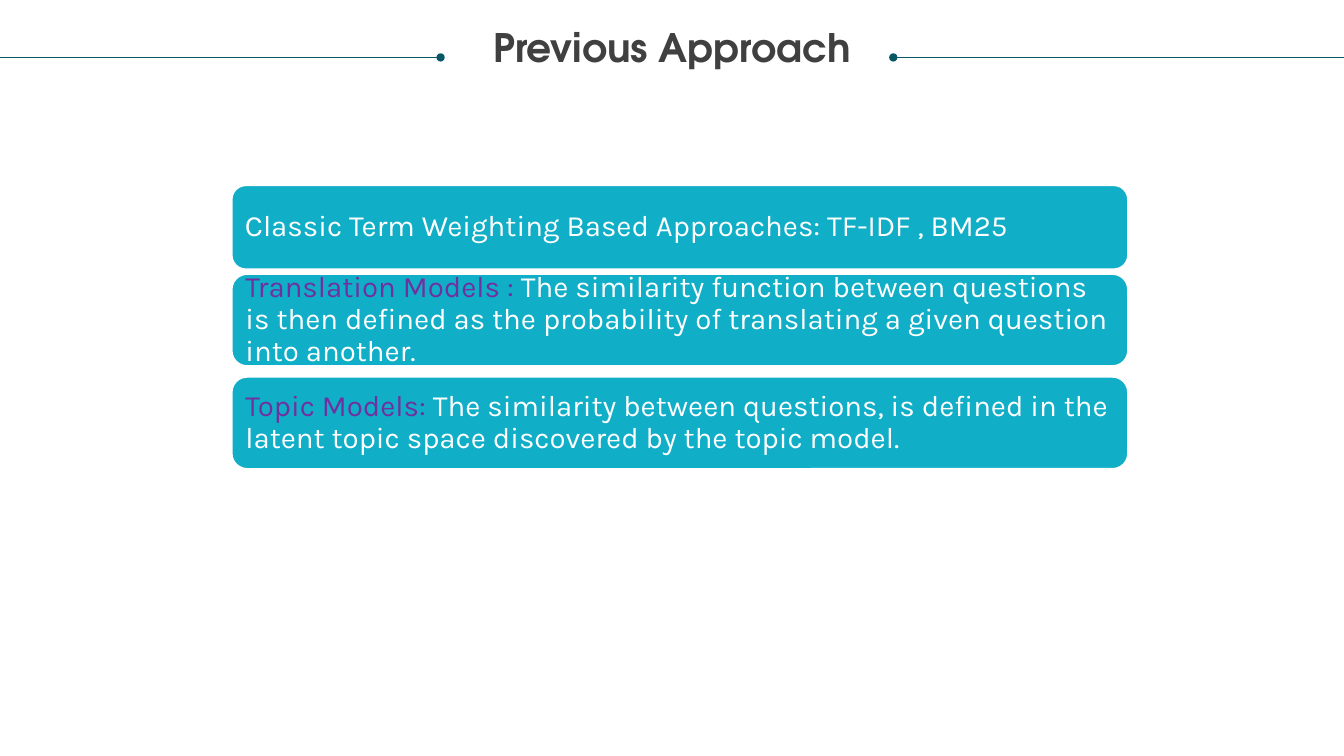
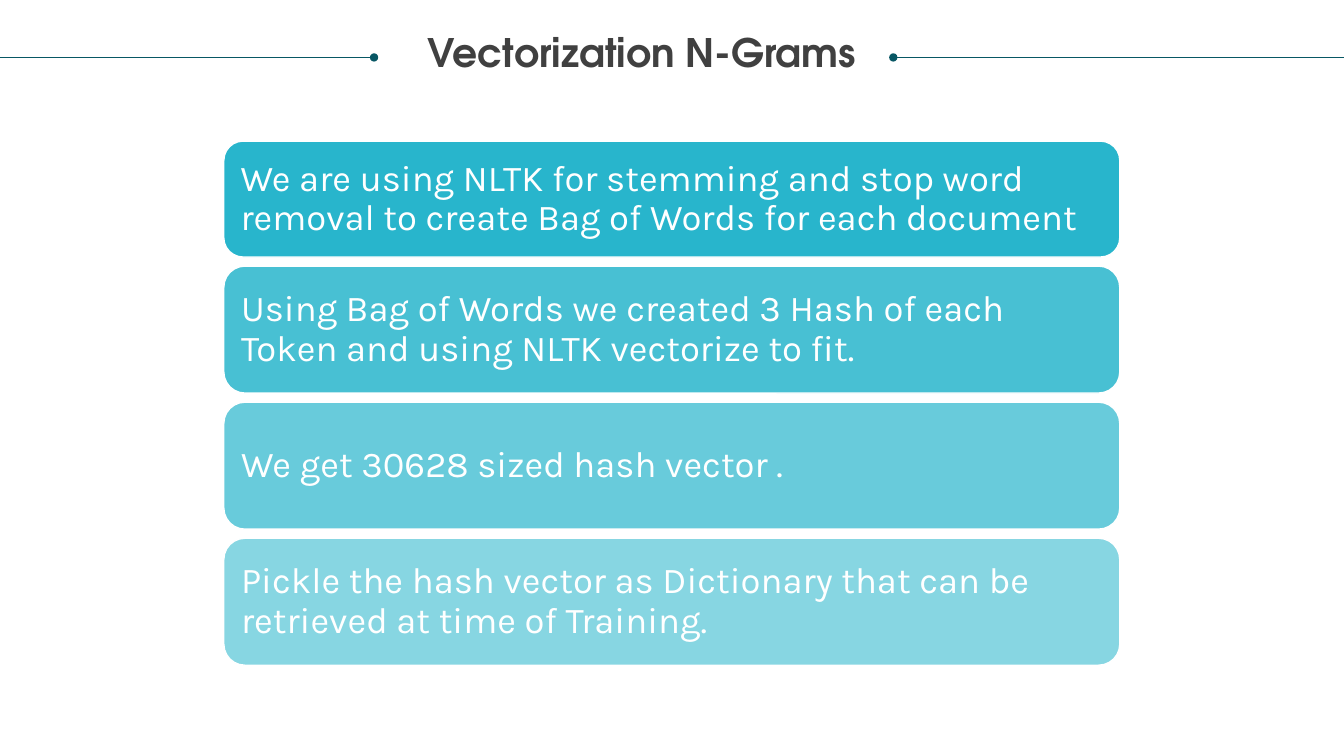
from lxml import etree
from pptx import Presentation
from pptx.dml.color import RGBColor
from pptx.enum.shapes import MSO_CONNECTOR, MSO_SHAPE
from pptx.enum.text import MSO_ANCHOR, PP_ALIGN
from pptx.oxml.ns import qn
from pptx.util import Inches, Pt

TEAL = RGBColor(0x11, 0xAE, 0xC7)
RULE = RGBColor(0x08, 0x57, 0x64)
CHARCOAL = RGBColor(0x40, 0x40, 0x40)
PURPLE = RGBColor(0x70, 0x30, 0xA0)
WHITE = RGBColor(0xFF, 0xFF, 0xFF)
TITLE_FONT, BODY_FONT = "TeX Gyre Adventor", "Karla"

WIDTH, HEIGHT = 13.33, 7.5
RULE_Y, RIGHT_RULE_X = 0.57, 8.86
TITLE_WIDTH, TITLE_HEIGHT = 12.83, 0.42
CARD_WIDTH = WIDTH * 2 / 3

# Each card: gap above, height, highlighted lead-in, text
SLIDES = [
    {
        "title": "Previous Approach", "title_at": (0.25, 0.28), "left_rule": 4.37,
        "cards_at": (2.3, 1.84), "size": 21, "inset": 0.09, "opacity": (100, 100),
        "cards": [
            (0, 0.83, "", "Classic Term Weighting Based Approaches: TF-IDF , BM25"),
            (0.05, 0.91, "Translation Models : ",
             "The similarity function between questions is then defined as the "
             "probability of translating a given question into another."),
            (0.11, 0.91, "Topic Models: ",
             "The similarity between questions, is defined in the latent topic "
             "space discovered by the topic model."),
        ],
    },
    {
        "title": "Vectorization N-Grams", "title_at": (-0.05, 0.33), "left_rule": 3.71,
        "cards_at": (2.22, 1.4), "size": 26, "inset": 0.11, "opacity": (90, 50),
        "cards": [
            (0, 1.15, "", "We are using NLTK for stemming and stop word removal "
                          "to create Bag of Words for each document"),
            (0.09, 1.26, "", "Using Bag of Words we created 3 Hash of each Token "
                             "and using NLTK vectorize to fit."),
            (0.09, 1.26, "", "We get 30628 sized hash vector ."),
            (0.09, 1.26, "", "Pickle the hash vector as Dictionary that can be "
                             "retrieved at time of Training."),
        ],
    },
]


def set_insets(frame, inset):
    """Give a text frame the same inset on all four sides."""
    frame.margin_left = frame.margin_right = Inches(inset)
    frame.margin_top = frame.margin_bottom = Inches(inset)


def style_paragraph(paragraph, font, size, align, color):
    """Apply the shared line spacing and one font to a paragraph."""
    paragraph.alignment, paragraph.line_spacing = align, 0.9
    paragraph.font.name, paragraph.font.size = font, Pt(size)
    paragraph.font.color.rgb = color


def add_rule(slide, start, end, dotted_end):
    """Draw a title rule with a dot at its headEnd or tailEnd."""
    rule = slide.shapes.add_connector(
        MSO_CONNECTOR.STRAIGHT, Inches(start), Inches(RULE_Y), Inches(end), Inches(RULE_Y))
    rule.line.color.rgb, rule.line.width = RULE, Pt(0.5)
    etree.SubElement(rule.line._get_or_add_ln(), qn(f"a:{dotted_end}"), type="oval")
    etree.SubElement(rule._element.spPr, qn("a:effectLst"))


def add_header(slide, title, title_at, left_rule):
    """Draw the title between its two rules."""
    add_rule(slide, RIGHT_RULE_X, WIDTH, "headEnd")
    add_rule(slide, 0, left_rule, "tailEnd")
    left, top = title_at
    frame = slide.shapes.add_textbox(
        Inches(left), Inches(top), Inches(TITLE_WIDTH), Inches(TITLE_HEIGHT)).text_frame
    frame.word_wrap = True
    set_insets(frame, 0)
    heading = frame.paragraphs[0]
    heading.text = title
    style_paragraph(heading, TITLE_FONT, 28, PP_ALIGN.CENTER, CHARCOAL)
    heading.font.bold = True


def add_card(slide, left, top, height, opacity, lead, text, size, inset):
    """Draw one rounded card with an optional highlighted lead-in."""
    card = slide.shapes.add_shape(
        MSO_SHAPE.ROUNDED_RECTANGLE, Inches(left), Inches(top),
        Inches(CARD_WIDTH), Inches(height))
    card.shadow.inherit = False
    card.fill.solid()
    card.fill.fore_color.rgb = TEAL
    if opacity < 100:
        tint = card._element.spPr.find(qn("a:solidFill"))[0]
        etree.SubElement(tint, qn("a:alpha"), val=str(round(opacity) * 1000))
    card.line.color.rgb, card.line.width = WHITE, Pt(1)
    frame = card.text_frame
    frame.word_wrap, frame.vertical_anchor = True, MSO_ANCHOR.MIDDLE
    set_insets(frame, inset)
    statement = frame.paragraphs[0]
    style_paragraph(statement, BODY_FONT, size, PP_ALIGN.LEFT, WHITE)
    if lead:
        highlight = statement.add_run()
        highlight.text = lead
        highlight.font.color.rgb = PURPLE
    statement.add_run().text = text


def add_cards(slide, content):
    """Stack the cards downwards, fading evenly from first to last."""
    left, top = content["cards_at"]
    first, last = content["opacity"]
    fade = (last - first) / (len(content["cards"]) - 1)
    for index, (gap, height, lead, text) in enumerate(content["cards"]):
        top += gap
        add_card(slide, left, top, height, first + fade * index, lead, text,
                 content["size"], content["inset"])
        top += height


deck = Presentation()
deck.slide_width, deck.slide_height = Inches(WIDTH), Inches(HEIGHT)
for content in SLIDES:
    slide = deck.slides.add_slide(deck.slide_layouts[6])
    add_header(slide, content["title"], content["title_at"], content["left_rule"])
    add_cards(slide, content)
deck.save("out.pptx")
